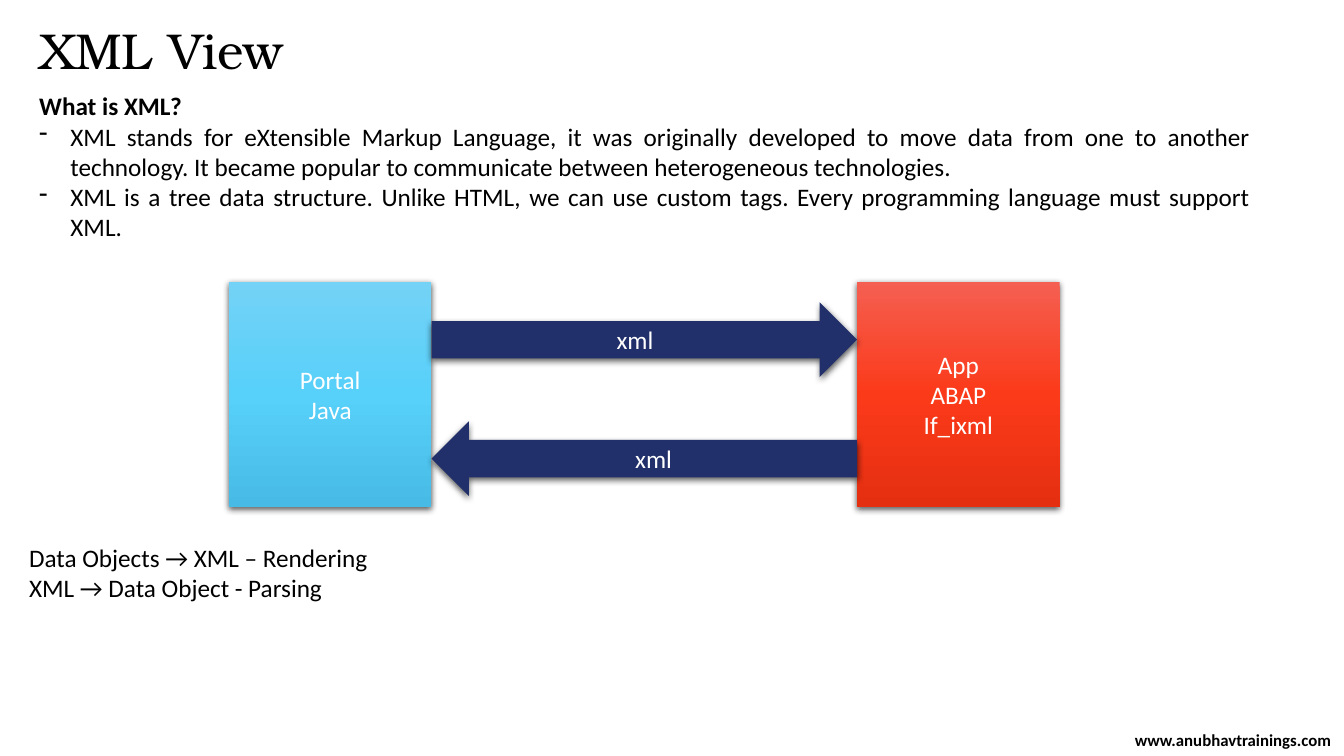
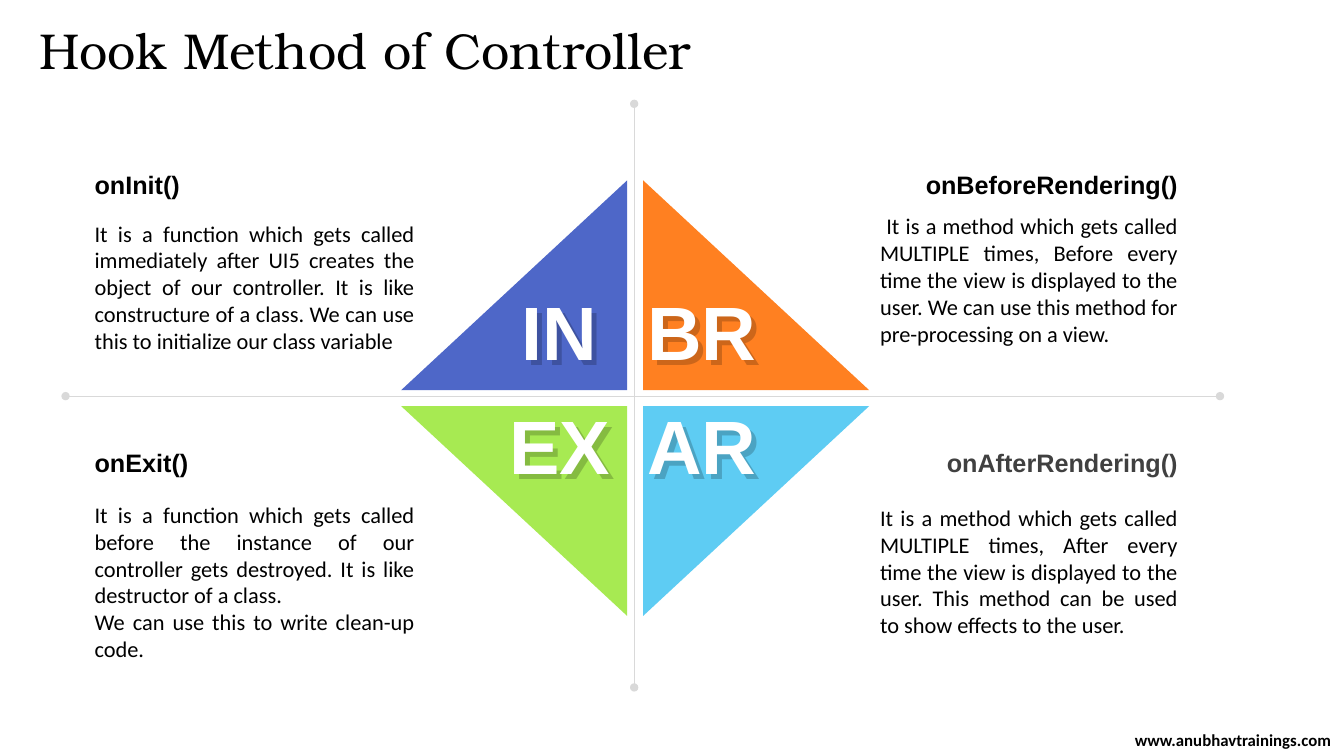
from copy import deepcopy

from lxml.etree import SubElement
from pptx import Presentation
from pptx.dml.color import RGBColor
from pptx.enum.shapes import MSO_CONNECTOR, MSO_SHAPE
from pptx.enum.text import MSO_ANCHOR, PP_ALIGN
from pptx.oxml.ns import qn
from pptx.util import Inches, Pt

BLACK, WHITE, GREY = "000000", "FFFFFF", "404040"
NAVY, RULE = "21306A", "D9D9D9"
BLUES = ("74D2F6", "57D0FA", "47BBE5")
REDS = ("F55F51", "FB3A1A", "E52F11")
SERIF, SANS, BODY = "TeX Gyre Bonum", "Arial", "Calibri"
LEFT, MID, RIGHT, FULL = (
    PP_ALIGN.LEFT, PP_ALIGN.CENTER, PP_ALIGN.RIGHT, PP_ALIGN.JUSTIFY)


def rgb(code):
    return RGBColor.from_string(code)


def write(shape, text, size=18, font=BODY, color=BLACK, bold=False,
          align=LEFT, bullet=None, space=None):
    """Add one paragraph per line of text, after any already there."""
    frame = shape.text_frame
    for line in text.split("\n"):
        para = frame.add_paragraph() if frame.text else frame.paragraphs[0]
        if bullet:
            props = para._p.get_or_add_pPr()
            props.set("marL", str(Inches(0.31)))
            props.set("indent", str(Inches(-0.31)))
            SubElement(props, qn("a:buChar")).set("char", bullet)
        para.alignment = align
        if space:
            para.line_spacing = space
        run = para.add_run()
        run.text = line
        run.font.size = Pt(size)
        run.font.name = font
        run.font.bold = bold
        run.font.color.rgb = rgb(color)


def label(slide, box, text="", anchor=MSO_ANCHOR.TOP, wrap=True, **form):
    shape = slide.shapes.add_textbox(*map(Inches, box))
    shape.text_frame.word_wrap = wrap
    shape.text_frame.vertical_anchor = anchor
    if text:
        write(shape, text, **form)
    return shape


def shade(shape, blur, dist, angle, alpha):
    """Cast a black shadow: points, degrees and percent."""
    shape.shadow.inherit = False
    effects = shape._element.spPr.find(qn("a:effectLst"))
    outer = SubElement(effects, qn("a:outerShdw"), {
        "blurRad": str(Pt(blur)), "dist": str(Pt(dist)),
        "dir": str(angle * 60000), "algn": "tl", "rotWithShape": "0"})
    tint = SubElement(outer, qn("a:srgbClr"), val=BLACK)
    SubElement(tint, qn("a:alpha"), val=str(alpha * 1000))


def paint(shape, colors):
    """Fill with one colour, or with an even top-down gradient of several."""
    if len(colors) == 1:
        shape.fill.solid()
        shape.fill.fore_color.rgb = rgb(colors[0])
        return
    shape.fill.gradient()
    shape.fill.gradient_angle = 270
    stops = shape._element.spPr.find(qn("a:gradFill")).find(qn("a:gsLst"))
    while len(stops) < len(colors):
        stops.append(deepcopy(stops[0]))
    for i, (stop, color) in enumerate(zip(shape.fill.gradient_stops, colors)):
        stop.position = i / (len(colors) - 1)
        stop.color.rgb = rgb(color)


def solid(slide, kind, box, *colors):
    shape = slide.shapes.add_shape(kind, *map(Inches, box))
    shape.shadow.inherit = False
    shape.line.fill.background()
    paint(shape, colors)
    return shape


def node(slide, kind, box, text, *colors):
    shape = solid(slide, kind, box, *colors)
    shade(shape, 4.5, 1.5, 90, 63)
    shape.text_frame.vertical_anchor = MSO_ANCHOR.MIDDLE
    write(shape, text, color=WHITE, align=MID)


def axis(slide, *ends):
    """Draw a thin rule with a dot at each end."""
    line = slide.shapes.add_connector(
        MSO_CONNECTOR.STRAIGHT, *map(Inches, ends))
    line.line.color.rgb = rgb(RULE)
    line.line.width = Pt(0.25)
    props = line._element.spPr
    for tag in ("a:headEnd", "a:tailEnd"):
        SubElement(props.find(qn("a:ln")), qn(tag), type="oval")
    SubElement(props, qn("a:effectLst"))


def page(deck, title):
    """Add a slide with the shared title and footer."""
    slide = deck.slides.add_slide(deck.slide_layouts[6])
    label(slide, (0.29, 0.21, 8.5, 0.65), title,
          size=36, font=SERIF, space=0.9)
    label(slide, (11.13, 7.26, 2.2, 0.16), "www.anubhavtrainings.com",
          anchor=MSO_ANCHOR.MIDDLE, size=12, bold=True, align=MID)
    return slide


def flow(slide, left, top, width, height):
    """Two systems that trade messages along a pair of arrows."""
    side, thick = 2.01, 0.74
    node(slide, MSO_SHAPE.RECTANGLE, (left, top, side, height),
         "Portal\nJava", *BLUES)
    node(slide, MSO_SHAPE.RECTANGLE,
         (left + width - side, top, side, height),
         "App\nABAP\nIf_ixml", *REDS)
    for kind, drop in ((MSO_SHAPE.RIGHT_ARROW, 0.2),
                       (MSO_SHAPE.LEFT_ARROW, 1.38)):
        node(slide, kind,
             (left + side, top + drop, width - 2 * side, thick), "xml", NAVY)


def xml_page(deck):
    slide = page(deck, "XML View")
    intro = label(slide, (0.29, 0.85, 12.21, 1.62), "What is XML?",
                  bold=True, align=FULL)
    write(intro,
          "XML stands for eXtensible Markup Language, it was originally "
          "developed to move data from one to another technology. It became "
          "popular to communicate between heterogeneous technologies.\n"
          "XML is a tree data structure. Unlike HTML, we can use custom "
          "tags. Every programming language must support XML.",
          align=FULL, bullet="-")
    flow(slide, 2.27, 2.8, 8.24, 2.23)
    label(slide, (0.19, 5.33, 6.75, 0.71),
          "Data Objects → XML – Rendering\nXML → Data Object - Parsing")


def wedge(slide, left, top, col, row, color, mark):
    """One quarter of the diamond, with its two letters."""
    wide, high, gap = 2.24, 2.08, 0.16
    x = left + col * (wide + gap)
    y = top + row * (high + gap)
    shape = solid(slide, MSO_SHAPE.RIGHT_TRIANGLE, (x, y, wide, high), color)
    form = shape._element.spPr.find(qn("a:xfrm"))
    if col == 0:
        form.set("flipH", "1")
    if row == 1:
        form.set("flipV", "1")
    text = label(slide, (x + (0.92, -0.07)[col], y + (0.99, -0.12)[row],
                         1.3, 1.01),
                 mark, wrap=False, size=54, font=SANS, color=WHITE,
                 bold=True, align=MID)
    shade(text, 0, 5, 45, 20)


def note(slide, left, top, width, name, text, drop, align, color):
    """A method name with its description below."""
    label(slide, (left, top, 3.15, 0.4), name, font=SANS, bold=True,
          align=align, color=color)
    label(slide, (left, top + drop, width, 1.45), text, size=16, align=FULL)


HOOKS = [
    (0, 0, "4E67C8", "IN", "onInit()", 0.5, BLACK,
     "It is a function which gets called immediately after UI5 creates the "
     "object of our controller. It is like constructure of a class. We can "
     "use this to initialize our class variable"),
    (1, 0, "FF8021", "BR", "onBeforeRendering()", 0.43, BLACK,
     " It is a method which gets called MULTIPLE times, Before every time "
     "the view is displayed to the user. We can use this method for "
     "pre-processing on a view."),
    (0, 1, "A7EA52", "EX", "onExit()", 0.53, BLACK,
     "It is a function which gets called before the instance of our "
     "controller gets destroyed. It is like destructor of a class.\n"
     "We can use this to write clean-up code."),
    (1, 1, "5ECCF3", "AR", "onAfterRendering()", 0.56, GREY,
     "It is a method which gets called MULTIPLE times, After every time the "
     "view is displayed to the user. This method can be used to show "
     "effects to the user."),
]


def hook_page(deck):
    slide = page(deck, "Hook Method of Controller")
    for col, row, fill, mark, name, drop, color, text in HOOKS:
        wedge(slide, 3.98, 1.79, col, row, fill, mark)
        note(slide, (0.84, 8.63)[col], (1.63, 4.39)[row], (3.37, 3.15)[col],
             name, text, drop, (LEFT, RIGHT)[col], color)
    axis(slide, 6.29, 1.03, 6.29, 6.82)
    axis(slide, 0.65, 3.93, 12.1, 3.93)


def main():
    deck = Presentation()
    deck.slide_width, deck.slide_height = Inches(13.33), Inches(7.5)
    xml_page(deck)
    hook_page(deck)
    deck.save("out.pptx")


if __name__ == "__main__":
    main()
